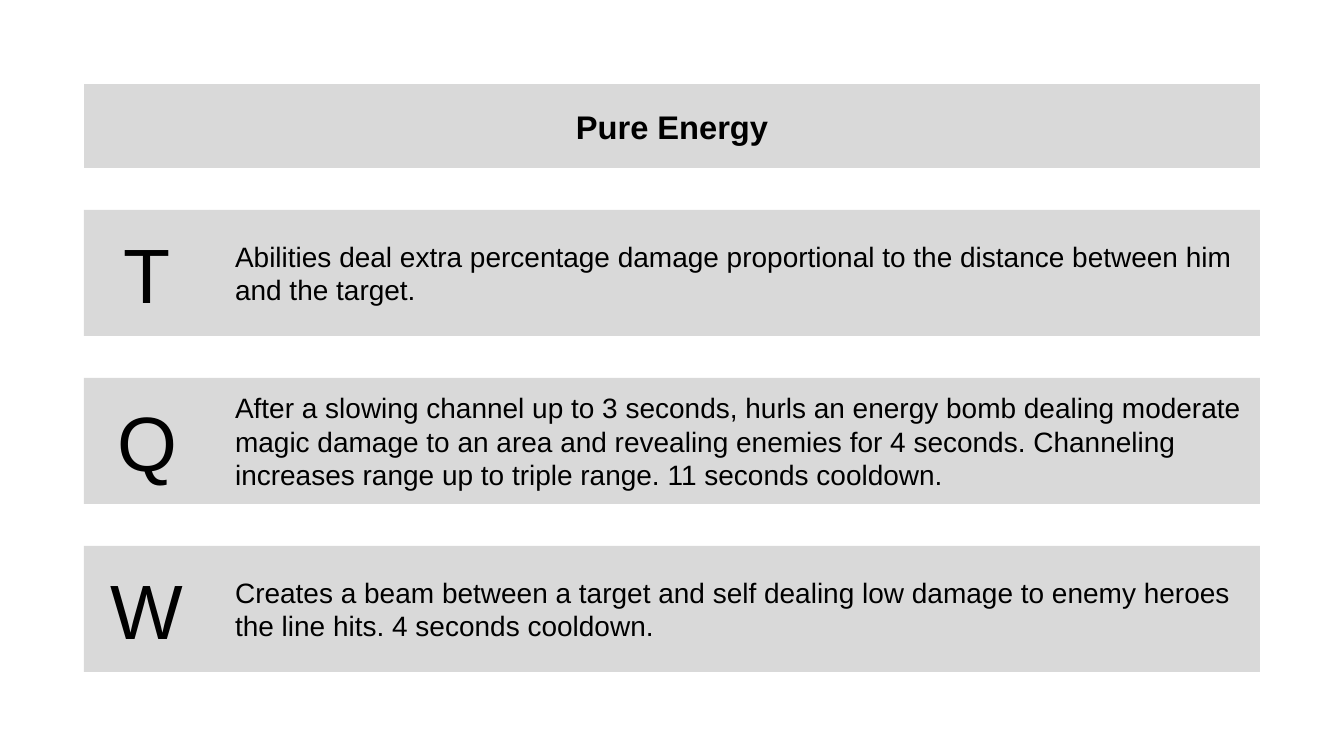
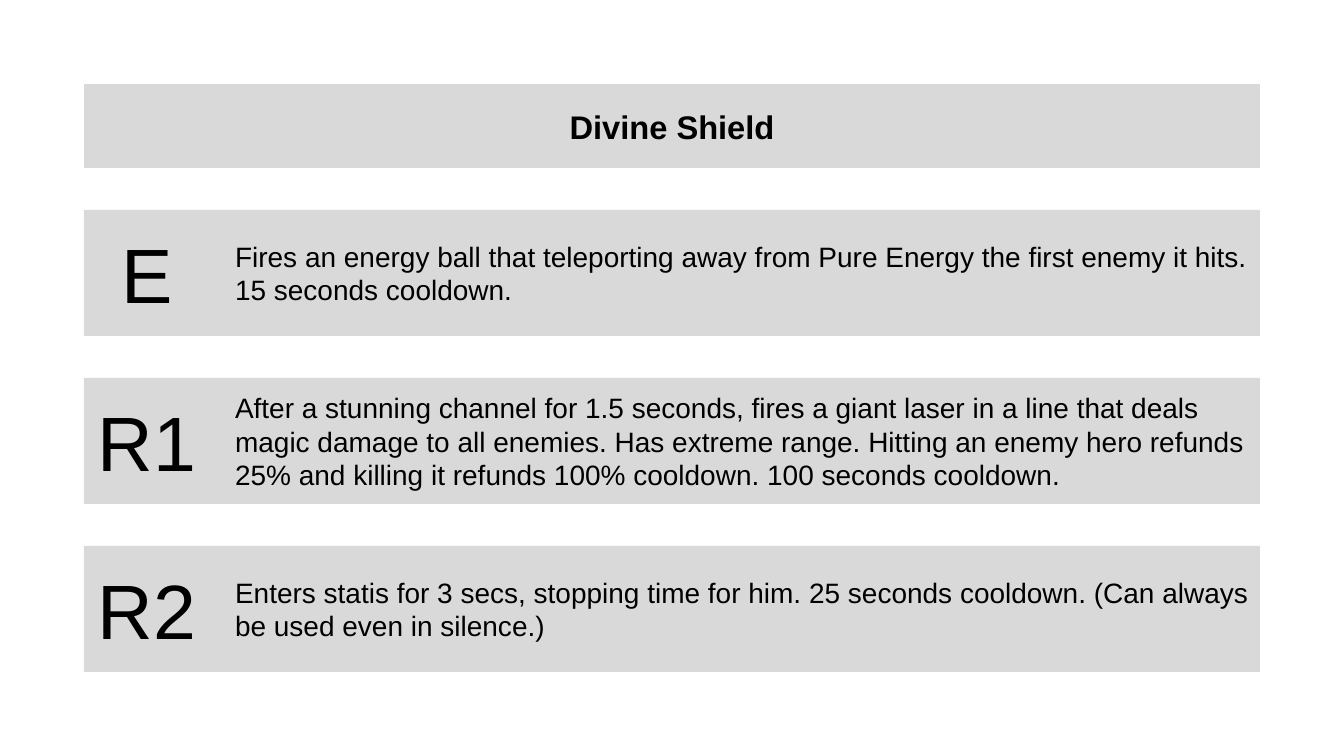
from dataclasses import dataclass

from pptx import Presentation
from pptx.dml.color import RGBColor
from pptx.enum.shapes import MSO_SHAPE as Shape
from pptx.enum.text import MSO_ANCHOR as Anchor, MSO_AUTO_SIZE as AutoSize, PP_ALIGN as Align
from pptx.util import Inches, Pt


@dataclass(frozen=True)
class Theme:
    font: str = "Arial"
    text: RGBColor = RGBColor(0x00, 0x00, 0x00)
    panel: RGBColor = RGBColor(0xD9, 0xD9, 0xD9)
    title_size: int = 28
    key_size: int = 66
    body_size: int = 24


THEME = Theme()

# Layout, in inches
MARGIN = 1
CONTENT_WIDTH = 14
TITLE_HEIGHT = 1
ROW_TOP = 2.5
ROW_HEIGHT = 1.5
ROW_PITCH = 2
KEY_WIDTH = 1.5
BODY_INDENT = 0.2

# Title of each slide, then its abilities as (key, description)
SLIDES = [
    ("Pure Energy", [
        ("T", "Abilities deal extra percentage damage proportional to the distance "
              "between him and the target."),
        ("Q", "After a slowing channel up to 3 seconds, hurls an energy bomb dealing "
              "moderate magic damage to an area and revealing enemies for 4 seconds. "
              "Channeling increases range up to triple range. 11 seconds cooldown."),
        ("W", "Creates a beam between a target and self dealing low damage to enemy "
              "heroes the line hits. 4 seconds cooldown."),
    ]),
    ("Divine Shield", [
        ("E", "Fires an energy ball that teleporting away from Pure Energy the first "
              "enemy it hits. 15 seconds cooldown."),
        ("R1", "After a stunning channel for 1.5 seconds, fires a giant laser in a line "
               "that deals magic damage to all enemies. Has extreme range. Hitting an "
               "enemy hero refunds 25% and killing it refunds 100% cooldown. "
               "100 seconds cooldown."),
        ("R2", "Enters statis for 3 secs, stopping time for him. 25 seconds cooldown. "
               "(Can always be used even in silence.)"),
    ]),
]


def style_panel(shape, text, size, align=Align.CENTER, bold=False):
    """Give a shape the grey panel fill and one paragraph of text."""
    shape.fill.solid()
    shape.fill.fore_color.rgb = THEME.panel
    shape.line.fill.background()

    frame = shape.text_frame
    frame.text = text
    frame.word_wrap = True
    frame.auto_size = AutoSize.NONE
    frame.vertical_anchor = Anchor.MIDDLE

    paragraph = frame.paragraphs[0]
    paragraph.alignment = align
    font = paragraph.runs[0].font
    font.name = THEME.font
    font.size = Pt(size)
    font.bold = bold
    font.color.rgb = THEME.text


def set_title(slide, text):
    title = slide.shapes.title
    title.left, title.top = Inches(MARGIN), Inches(MARGIN)
    title.width, title.height = Inches(CONTENT_WIDTH), Inches(TITLE_HEIGHT)
    style_panel(title, text, THEME.title_size, bold=True)


def add_panel(slide, left, top, width, text, size, align):
    panel = slide.shapes.add_shape(
        Shape.RECTANGLE, Inches(left), Inches(top), Inches(width), Inches(ROW_HEIGHT))
    panel.shadow.inherit = False
    style_panel(panel, text, size, align)
    return panel


def add_ability(slide, top, key, description):
    """Add one row: the key on the left, its description on the right."""
    body = add_panel(slide, MARGIN + KEY_WIDTH, top, CONTENT_WIDTH - KEY_WIDTH,
                     description, THEME.body_size, Align.LEFT)
    properties = body.text_frame.paragraphs[0]._p.get_or_add_pPr()
    properties.set("marL", str(Inches(BODY_INDENT)))
    properties.set("indent", "0")
    add_panel(slide, MARGIN, top, KEY_WIDTH, key, THEME.key_size, Align.CENTER)


def main():
    presentation = Presentation()
    presentation.slide_width, presentation.slide_height = Inches(16), Inches(9)
    title_only = presentation.slide_layouts[5]

    for title, abilities in SLIDES:
        slide = presentation.slides.add_slide(title_only)
        set_title(slide, title)
        for row, (key, description) in enumerate(abilities):
            add_ability(slide, ROW_TOP + row * ROW_PITCH, key, description)

    presentation.save("out.pptx")


main()
